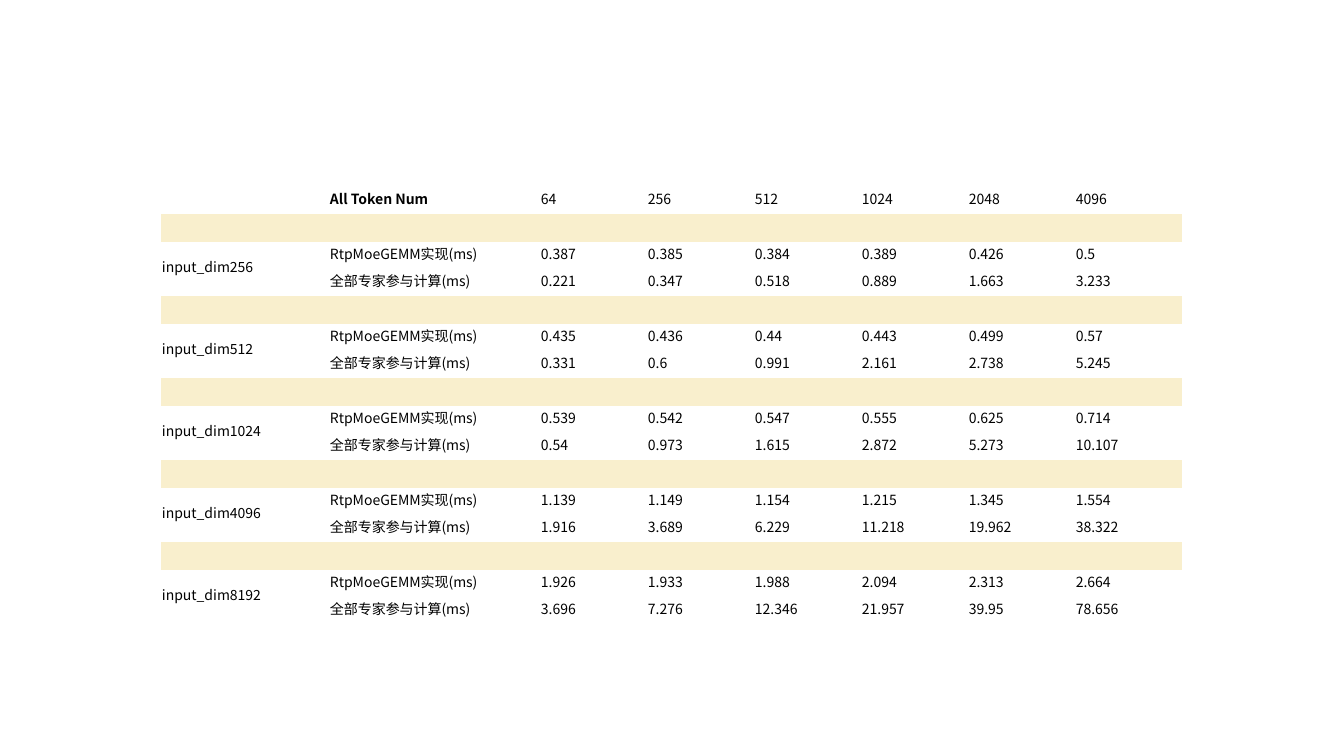
from lxml.etree import SubElement as Sub
from pptx import Presentation
from pptx.dml.color import RGBColor as RGB
from pptx.enum.text import MSO_ANCHOR as Anchor, PP_ALIGN as Align
from pptx.oxml.ns import qn
from pptx.util import Pt

PX = 914400 / 100.8
COLORS = {"text": "000000", "band": "F9EFCD"}
PLAIN = "{2D5ABB26-0587-4C30-8999-92F81FD0307C}"
LABELS = ["RtpMoeGEMM实现(ms)", "全部专家参与计算(ms)"]
TOKENS = ["64", "256", "512", "1024", "2048", "4096"]
TIMES = {
    256: ["0.387 0.385 0.384 0.389 0.426 0.5",
          "0.221 0.347 0.518 0.889 1.663 3.233"],
    512: ["0.435 0.436 0.44 0.443 0.499 0.57",
          "0.331 0.6 0.991 2.161 2.738 5.245"],
    1024: ["0.539 0.542 0.547 0.555 0.625 0.714",
           "0.54 0.973 1.615 2.872 5.273 10.107"],
    4096: ["1.139 1.149 1.154 1.215 1.345 1.554",
           "1.916 3.689 6.229 11.218 19.962 38.322"],
    8192: ["1.926 1.933 1.988 2.094 2.313 2.664",
           "3.696 7.276 12.346 21.957 39.95 78.656"],
}


def px(n):
    return round(n * PX)


class Deck:
    face = "Noto Sans CJK SC"
    size = 10

    def __init__(self, wide, high):
        self.show = Presentation()
        self.show.slide_width = px(wide)
        self.show.slide_height = px(high)
        self.slide = self.show.slides.add_slide(self.show.slide_layouts[6])

    def table(self, left, top, cols, rows):
        frame = self.slide.shapes.add_table(
            len(rows), len(cols), px(left), px(top), px(sum(cols)), px(sum(rows)))
        grid = frame.table
        grid.first_row = grid.horz_banding = False
        grid._tbl.tblPr.find(qn("a:tableStyleId")).text = PLAIN
        for col, wide in zip(grid.columns, cols):
            col.width = px(wide)
        for row, high in zip(grid.rows, rows):
            row.height = px(high)
        return grid

    def cell(self, cell, text="", bold=False, fill=None):
        cell.margin_left = cell.margin_right = cell.margin_top = px(1)
        cell.margin_bottom = px(5)
        cell.vertical_anchor = Anchor.MIDDLE
        if fill:
            cell.fill.solid()
            cell.fill.fore_color.rgb = RGB.from_string(COLORS[fill])
        else:
            cell.fill.background()
        para = cell.text_frame.paragraphs[0]
        para.text = text
        para.alignment = Align.LEFT
        font = para.font
        font.size = Pt(self.size)
        font.bold = bold
        font.name = self.face
        font.color.rgb = RGB.from_string(COLORS["text"])
        Sub(para._p.pPr.find(qn("a:defRPr")), qn("a:ea"), typeface=self.face)
        if not text:
            Sub(para._p, qn("a:endParaRPr"), sz=str(self.size * 100))

    def row(self, grid, row, texts, bold=(), fill=None):
        for col, text in enumerate(texts):
            self.cell(grid.cell(row, col), text, col in bold, fill)

    def save(self):
        self.show.save("out.pptx")


def main():
    deck = Deck(1344, 756)
    cols = [168, 211] + [107] * len(TOKENS)
    grid = deck.table(161, 187, cols, [27] + [28, 27, 27] * len(TIMES))
    deck.row(grid, 0, ["", "All Token Num"] + TOKENS, bold=(1,))
    for group, (dim, lines) in enumerate(TIMES.items()):
        band = 1 + 3 * group
        deck.row(grid, band, [""] * len(cols), fill="band")
        for step, (label, line) in enumerate(zip(LABELS, lines)):
            name = "" if step else f"input_dim{dim}"
            deck.row(grid, band + 1 + step, [name, label] + line.split())
        grid.cell(band + 1, 0).merge(grid.cell(band + 2, 0))
    deck.save()


if __name__ == "__main__":
    main()
